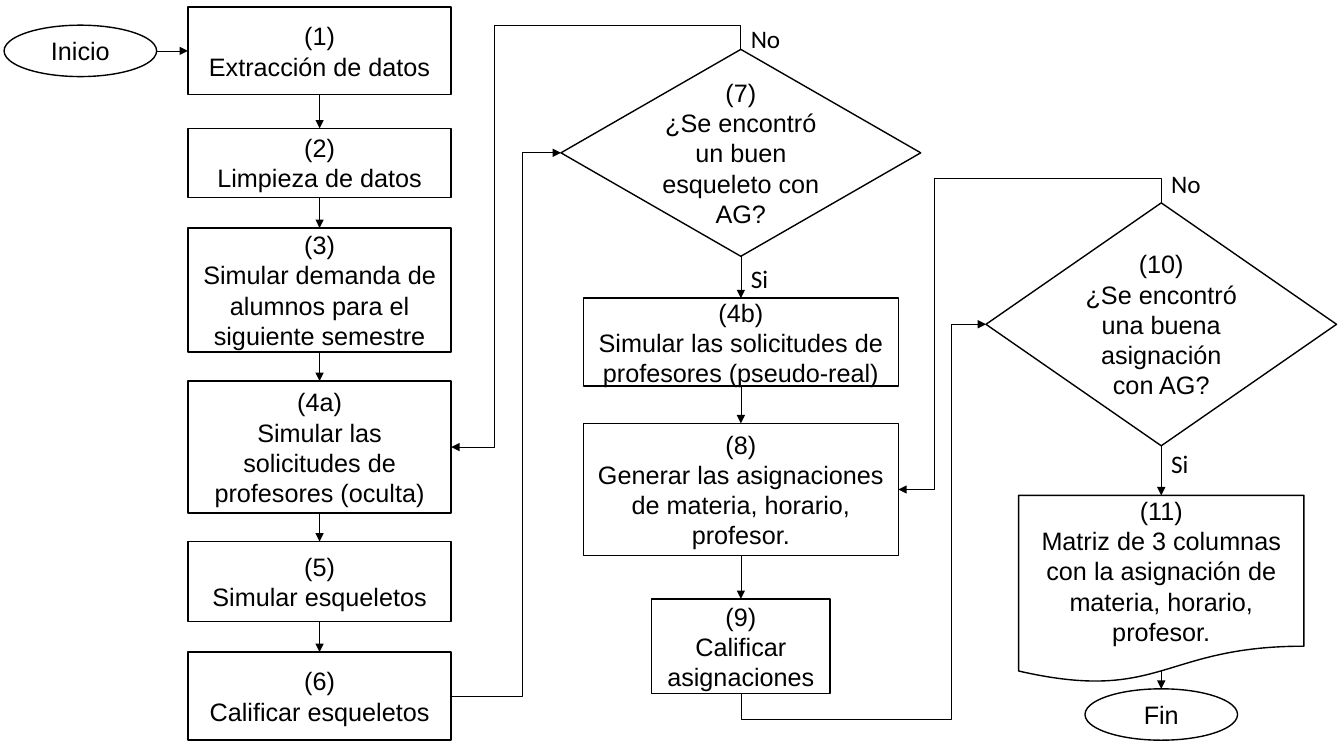
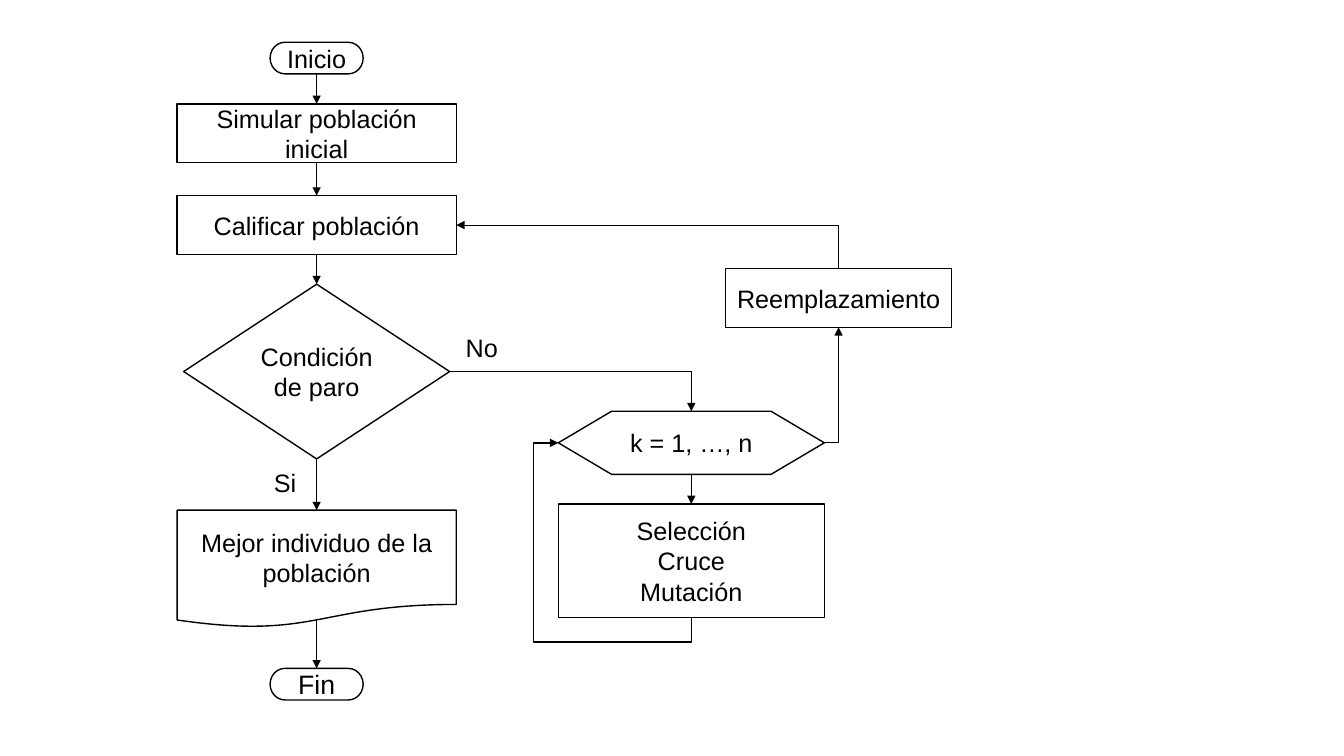
from lxml import etree
from pptx import Presentation
from pptx.dml.color import RGBColor
from pptx.enum.shapes import MSO_CONNECTOR, MSO_SHAPE
from pptx.enum.text import MSO_ANCHOR, MSO_AUTO_SIZE, PP_ALIGN
from pptx.oxml.ns import qn
from pptx.util import Pt

COLORS = {"ink": "000000"}
TEXT_SIZE = 18
OUTLINE = 1
DOCUMENT_BOTTOM = 0.934  # height of the wavy edge at its centre
ELLIPSE_RIGHT_SITE = 6
TOP, LEFT, BOTTOM, RIGHT = range(4)  # connection sites of a box

RECT = MSO_SHAPE.RECTANGLE
OVAL = MSO_SHAPE.OVAL
DECISION = MSO_SHAPE.FLOWCHART_DECISION
DOCUMENT = MSO_SHAPE.FLOWCHART_DOCUMENT
PROCESS = MSO_SHAPE.FLOWCHART_PROCESS
TERMINATOR = MSO_SHAPE.FLOWCHART_TERMINATOR
PREPARATION = MSO_SHAPE.FLOWCHART_PREPARATION
STRAIGHT, ELBOW = MSO_CONNECTOR.STRAIGHT, MSO_CONNECTOR.ELBOW
CENTER, ALIGN_LEFT = PP_ALIGN.CENTER, PP_ALIGN.LEFT
MIDDLE, GROW = MSO_ANCHOR.MIDDLE, MSO_AUTO_SIZE.SHAPE_TO_FIT_TEXT

# Content. Columns: shape, centre x, width, boxes as (name, top, height, paragraphs).
# Chains run from bottom to top of neighbours. Links: from, side, to, side,
# bends (coordinates in turn along each axis, None for straight), line width.
# Labels: text, left, top, width.
SCHEDULING = {
    "columns": [
        (OVAL, 57.4, 109, [("start", 18, 36.7, ["Inicio"])]),
        (RECT, 228.3, 188, [
            ("1", 5, 62.7, ["(1)", "Extracción de datos"]),
            ("2", 91.7, 49.2, ["(2)", "Limpieza de datos"]),
            ("3", 162.8, 88.6, ["(3)", "Simular demanda de alumnos para el siguiente semestre"]),
            ("4a", 272.2, 94.2, ["(4a)", "Simular las solicitudes de profesores (oculta)"]),
            ("5", 386.8, 57, ["(5)", "Simular esqueletos"]),
            ("6", 465.7, 62.9, ["(6)", "Calificar esqueletos"])]),
        (DECISION, 529.2, 257, [
            ("7", 35.3, 147.8, ["(7)", "¿Se encontró un buen esqueleto con AG?"])]),
        (RECT, 529.2, 225, [
            ("4b", 213, 62.8, ["(4b)", "Simular las solicitudes de profesores (pseudo-real)"]),
            ("8", 302.4, 94.4,
             ["(8)", "Generar las asignaciones de materia, horario,\nprofesor."])]),
        (RECT, 529.2, 127.6, [("9", 427.8, 67.6, ["(9)", "Calificar asignaciones"])]),
        (DECISION, 829.5, 250.4, [
            ("10", 144.9, 173.5, ["(10)", "¿Se encontró una buena asignación con AG?"])]),
        (DOCUMENT, 829.5, 203.8, [
            ("11", 353.8, 134.4,
             ["(11)", "Matriz de 3 columnas con la asignación de materia, horario,\nprofesor."])]),
        (OVAL, 829.5, 109, [("end", 492, 36.7, ["Fin"])]),
    ],
    "chains": [["1", "2", "3", "4a", "5", "6"], ["7", "4b", "8", "9"], ["10", "11", "end"]],
    "line": 0.5,
    "links": [
        ("start", RIGHT, "1", LEFT, None, 0.5),
        ("7", TOP, "4a", RIGHT, [18, 353], 0.5),
        ("6", RIGHT, "7", LEFT, [373], 0.5),
        ("10", TOP, "8", RIGHT, [127, 667], 0.5),
        ("9", BOTTOM, "10", LEFT, [513.5, 679.6], 0.5),
    ],
    "label_font": "Calibri",
    "labels": [("No", 529.2, 13, 83), ("Si", 529.2, 184.4, 59),
               ("No", 829.5, 117, 83), ("Si", 829.5, 317, 30)],
}
GENETIC = {
    "columns": [
        (TERMINATOR, 226.2, 66.5, [("start", 30.2, 22.6, ["Inicio"]),
                                   ("end", 477.4, 22.6, ["Fin"])]),
        (PROCESS, 226.2, 199.4, [("simulate", 74.2, 42, ["Simular población inicial"]),
                                 ("grade", 139.8, 42, ["Calificar población"])]),
        (DECISION, 226.2, 190, [("stop", 203, 124.8, ["Condición de paro"])]),
        (DOCUMENT, 226.2, 199.4, [("best", 364.4, 84, ["Mejor individuo de la población"])]),
        (PREPARATION, 493.8, 190, [("loop", 293.8, 45, ["k = 1, …, n"])]),
        (PROCESS, 493.8, 190, [("evolve", 360, 81.2, ["Selección", "Cruce", "Mutación"])]),
        (PROCESS, 599, 161.6, [("replace", 192, 41.8, ["Reemplazamiento"])]),
    ],
    "chains": [["start", "simulate", "grade", "stop", "best", "end"], ["loop", "evolve"]],
    "line": 1,
    "links": [
        ("stop", RIGHT, "loop", TOP, [], 1),
        ("evolve", BOTTOM, "loop", LEFT, [458.6, 381], 1),
        ("loop", RIGHT, "replace", BOTTOM, [], 1),
        ("replace", TOP, "grade", RIGHT, [], 0.5),
    ],
    "label_font": "Arial",
    "labels": [("No", 325.6, 234, 83), ("Si", 188.6, 330.5, 37.4)],
}
SPECIAL_SIZES = {(TERMINATOR, "end"): 19}


def ink():
    return RGBColor.from_string(COLORS["ink"])


def write(frame, paragraphs, font, size, align):
    frame.word_wrap = True
    for number, text in enumerate(paragraphs):
        para = frame.paragraphs[0] if number == 0 else frame.add_paragraph()
        para.alignment = align
        for row, line in enumerate(text.split("\n")):
            if row:
                para.add_line_break()
            span = para.add_run()
            span.text = line
            span.font.name, span.font.size = font, Pt(size)
            span.font.color.rgb = ink()


def add_box(page, kind, center, width, top, height, paragraphs, size):
    box = page.shapes.add_shape(kind, Pt(center - width / 2), Pt(top), Pt(width), Pt(height))
    box.shadow.inherit = False
    box.fill.background()
    box.line.color.rgb, box.line.width = ink(), Pt(OUTLINE)
    box.text_frame.vertical_anchor = MIDDLE
    write(box.text_frame, paragraphs, "Arial", size, CENTER)
    return box


def site_point(box, side):
    bottom = DOCUMENT_BOTTOM if box.auto_shape_type == DOCUMENT else 1
    across, down = {TOP: (0.5, 0), LEFT: (0, 0.5), BOTTOM: (0.5, bottom), RIGHT: (1, 0.5)}[side]
    return int(box.left + across * box.width), int(box.top + down * box.height)


def bend(connector, start, end, leave, enter, bends):
    """Shape an elbow line that leaves along one axis and turns at each bend."""
    delta = end[0] - start[0], end[1] - start[1]
    vertical = leave in (TOP, BOTTOM)
    width, height = abs(delta[0]), abs(delta[1])
    turn, flips = 0, (delta[0] < 0, delta[1] < 0)
    if vertical:
        width, height = height, width
        turn = 270 if enter == RIGHT else 90
        flips = ((delta[1] > 0, delta[0] < 0) if turn == 270
                 else (delta[1] < 0, delta[0] > 0))
    connector.left = (start[0] + end[0] - width) // 2
    connector.top = (start[1] + end[1] - height) // 2
    connector.width, connector.height = width, height
    properties = connector._element.spPr
    properties.xfrm.rot = turn
    properties.xfrm.flipH, properties.xfrm.flipV = flips
    geometry = properties.find(qn("a:prstGeom"))
    geometry.set("prst", f"bentConnector{len(bends) + 2}")
    guides = geometry.find(qn("a:avLst"))
    if guides is None:
        guides = etree.SubElement(geometry, qn("a:avLst"))
    for number, place in enumerate(bends):
        axis = (number + vertical) % 2
        share = (Pt(place) - start[axis]) / delta[axis]
        etree.SubElement(guides, qn("a:gd"), name=f"adj{number + 1}",
                         fmla=f"val {round(share * 100000)}")


def add_link(page, boxes, source, leave, target, enter, bends, width):
    start, end = site_point(boxes[source], leave), site_point(boxes[target], enter)
    kind = STRAIGHT if bends is None else ELBOW
    connector = page.shapes.add_connector(kind, *start, *end)
    connector.begin_connect(boxes[source], leave)
    connector.end_connect(boxes[target], enter)
    if boxes[source].auto_shape_type == OVAL and leave == RIGHT:
        connector._element.find(".//" + qn("a:stCxn")).set("idx", str(ELLIPSE_RIGHT_SITE))
    if bends is None:
        connector.begin_x, connector.begin_y = start
        connector.end_x, connector.end_y = end
    else:
        bend(connector, start, end, leave, enter, bends)
    connector.line.color.rgb, connector.line.width = ink(), Pt(width)
    etree.SubElement(connector.line._get_or_add_ln(), qn("a:tailEnd"), type="triangle")
    etree.SubElement(connector._element.spPr, qn("a:effectLst"))


def add_label(page, text, left, top, width, font):
    label = page.shapes.add_textbox(Pt(left), Pt(top), Pt(width), Pt(29))
    write(label.text_frame, [text], font, TEXT_SIZE, ALIGN_LEFT)
    label.text_frame.auto_size = GROW


def add_flowchart(deck, chart):
    page = deck.slides.add_slide(deck.slide_layouts[6])
    boxes = {}
    for kind, center, width, rows in chart["columns"]:
        for name, top, height, paragraphs in rows:
            size = SPECIAL_SIZES.get((kind, name), TEXT_SIZE)
            boxes[name] = add_box(page, kind, center, width, top, height, paragraphs, size)
    for chain in chart["chains"]:
        for source, target in zip(chain, chain[1:]):
            add_link(page, boxes, source, BOTTOM, target, TOP, None, chart["line"])
    for link in chart["links"]:
        add_link(page, boxes, *link)
    for label in chart["labels"]:
        add_label(page, *label, chart["label_font"])


# Build the deck
deck = Presentation()
deck.slide_width, deck.slide_height = Pt(960), Pt(540)
for chart in (SCHEDULING, GENETIC):
    add_flowchart(deck, chart)
deck.save("out.pptx")
